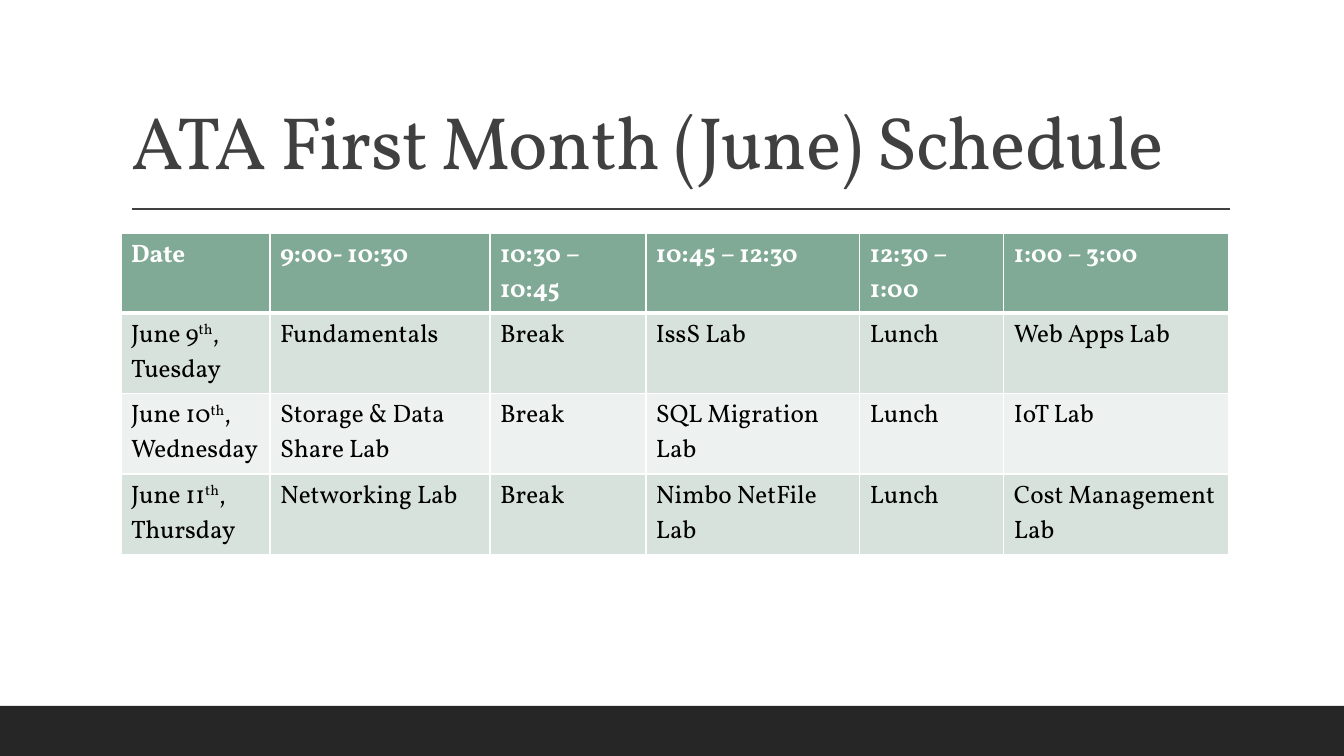
from dataclasses import dataclass
from typing import NamedTuple

from lxml.etree import SubElement
from pptx import Presentation
from pptx.dml.color import RGBColor as Rgb
from pptx.enum.shapes import MSO_CONNECTOR as Connector, MSO_SHAPE as Shape
from pptx.enum.text import MSO_ANCHOR as Anchor, MSO_AUTO_SIZE as AutoSize, PP_ALIGN as Align
from pptx.oxml.ns import qn
from pptx.util import Pt

EMU_PER_PX = 914400 / 100.8


@dataclass(frozen=True)
class Theme:
    """Colours, font and type sizes of the slide."""

    font: str = "Vollkorn"
    title_size: int = 53
    cell_size: int = 18
    ink: str = "404040"
    band: str = "262626"
    text: str = "000000"
    white: str = "FFFFFF"
    header: str = "81AA96"
    rows: tuple = ("D8E2DD", "EDF1EF")


class Box(NamedTuple):
    """A rectangle in px."""

    left: int
    top: int
    width: int
    height: int


THEME = Theme()
COLUMN_WIDTHS = (149, 220, 156, 214, 144, 225)
HEADINGS = ("Date", "9:00- 10:30", "10:30 – 10:45", "10:45 – 12:30", "12:30 – 1:00", "1:00 – 3:00")
DAYS = (
    (("June 9", "th", ", Tuesday"), "Fundamentals", "IssS Lab", "Web Apps Lab"),
    (("June 10", "th", ", Wednesday"), "Storage & Data Share Lab", "SQL Migration Lab", "IoT Lab"),
    (("June 11", "th", ", Thursday"), "Networking Lab", "Nimbo NetFile Lab", "Cost Management Lab"),
)


def px(length):
    """Turn px into EMU."""
    return round(length * EMU_PER_PX)


def add_span(para, text, size, color, bold=False):
    """Add one formatted run and return it."""
    span = para.add_run()
    span.text = text
    font = span.font
    font.name, font.size, font.bold = THEME.font, Pt(size), bold
    font.color.rgb = Rgb.from_string(color)
    return span


def add_footer_band(page, box):
    """Draw the dark band along the bottom."""
    band = page.shapes.add_shape(Shape.RECTANGLE, *map(px, box))
    band.shadow.inherit = False
    band.fill.solid()
    band.fill.fore_color.rgb = Rgb.from_string(THEME.band)
    band.line.fill.background()


def add_heading(page, box, text):
    """Fill the title placeholder and draw the rule below it."""
    title = page.shapes.title
    title.left, title.top, title.width, title.height = map(px, box)
    frame = title.text_frame
    frame.word_wrap, frame.auto_size = True, AutoSize.NONE
    frame.vertical_anchor = Anchor.BOTTOM
    para = frame.paragraphs[0]
    para.alignment, para.line_spacing = Align.LEFT, 0.9
    span = add_span(para, text, THEME.title_size, THEME.ink)
    span.font._element.set("spc", "-50")

    left, level = box.left + 11, box.top + box.height + 18
    rule = page.shapes.add_connector(
        Connector.STRAIGHT, px(left), px(level), px(box.left + box.width), px(level))
    rule.line.color.rgb = Rgb.from_string(THEME.ink)
    rule.line.width = Pt(1)
    SubElement(rule._element.spPr, qn("a:effectLst"))


def set_borders(cell, widths):
    """Give a cell white borders, with widths in points by side."""
    properties = cell._tc.get_or_add_tcPr()
    for index, (side, width) in enumerate(widths.items()):
        border = SubElement(properties, qn(f"a:{side}"), w=str(Pt(width)))
        fill = SubElement(border, qn("a:solidFill"))
        SubElement(fill, qn("a:srgbClr"), val=THEME.white)
        properties.insert(index, border)


def fill_cell(cell, content, row):
    """Write and colour one cell; three text parts put the middle one raised."""
    is_header = row == 0
    cell.fill.solid()
    fill = THEME.header if is_header else THEME.rows[(row - 1) % 2]
    cell.fill.fore_color.rgb = Rgb.from_string(fill)
    set_borders(cell, {"lnL": 1, "lnR": 1, "lnT": 3 if row == 1 else 1, "lnB": 3 if is_header else 1})
    parts = (content,) if isinstance(content, str) else content
    para = cell.text_frame.paragraphs[0]
    for index, text in enumerate(parts):
        color = THEME.white if is_header else THEME.text
        span = add_span(para, text, THEME.cell_size, color, is_header)
        if index == 1:
            span.font._element.set("baseline", "30000")


def add_schedule(page, box):
    """Build the timetable with its shared break and lunch columns."""
    rows = [HEADINGS] + [
        (date, first, "Break", second, "Lunch", third) for date, first, second, third in DAYS]
    table = page.shapes.add_table(len(rows), len(HEADINGS), *map(px, box)).table
    for column, width in zip(table.columns, COLUMN_WIDTHS):
        column.width = px(width)
    for row, contents in enumerate(rows):
        table.rows[row].height = px(box.height / len(rows))
        for column, content in enumerate(contents):
            fill_cell(table.cell(row, column), content, row)


def main():
    """Build and save the deck."""
    deck = Presentation()
    deck.slide_width, deck.slide_height = px(1344), px(756)
    page = deck.slides.add_slide(deck.slide_layouts[5])
    add_footer_band(page, Box(0, 706, 1344, 50))
    add_heading(page, Box(121, 31, 1109, 160), "ATA First Month (June) Schedule")
    add_schedule(page, Box(121, 233, sum(COLUMN_WIDTHS), 320))
    deck.save("out.pptx")


if __name__ == "__main__":
    main()
